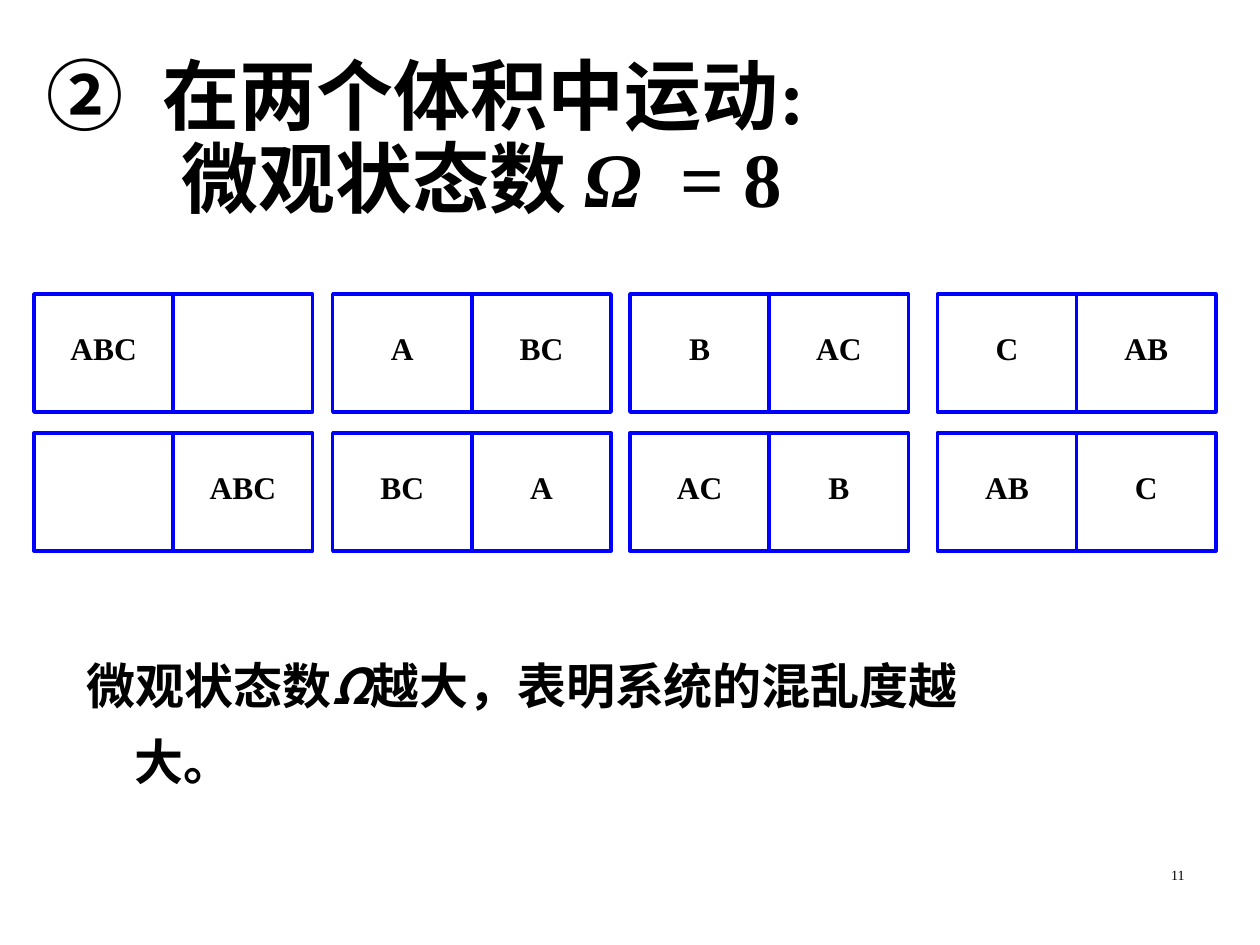
import dataclasses

import lxml.etree
import pptx
import pptx.dml.color
import pptx.enum.shapes
import pptx.enum.text
import pptx.oxml.ns
import pptx.util

ALIGN = pptx.enum.text.PP_ALIGN
ANCHOR = pptx.enum.text.MSO_ANCHOR


@dataclasses.dataclass(frozen=True)
class Theme:
    ink: str = "000000"
    edge: str = "0000FF"
    serif: str = "Times New Roman"
    sans: str = "Noto Sans CJK SC"
    head: float = 44
    body: float = 28
    label: float = 18
    page: float = 8
    rule: float = 2


THEME = Theme()
WIDE, HIGH = pptx.util.Inches(10), pptx.util.Inches(7.5)

# Percent of the slide's width or height
LEFTS = (2.7, 26.4, 50, 74.4)
TOP, STEP = 31.1, 14.7
CELL_W, CELL_H = 11.05, 12.5
STATES = (("ABC", ""), ("A", "BC"), ("B", "AC"), ("C", "AB"))


def place(left, top, width, height):
    """Turn percent of the slide into lengths."""
    return (int(WIDE * left / 100), int(HIGH * top / 100),
            int(WIDE * width / 100), int(HIGH * height / 100))


def rgb(code):
    return pptx.dml.color.RGBColor.from_string(code)


def write(frame, runs, size, bold=True, align=ALIGN.LEFT, anchor=ANCHOR.TOP,
          wrap=True, space=None, hang=0):
    """Fill a frame with (text, font, italic) runs; a newline breaks the line."""
    frame.word_wrap = wrap
    frame.vertical_anchor = anchor
    para = frame.paragraphs[0]
    para.alignment = align
    para.line_spacing = space
    if hang:
        props = para._p.get_or_add_pPr()
        props.set("marL", str(pptx.util.Inches(hang)))
        props.set("indent", str(-pptx.util.Inches(hang)))
    for text, face, slant in runs:
        for row, part in enumerate(text.split("\n")):
            if row:
                para.add_line_break()
            run = para.add_run()
            run.text = part
            font = run.font
            font.name, font.size = face, pptx.util.Pt(size)
            font.bold, font.italic = bold, slant
            font.color.rgb = rgb(THEME.ink)
            east = lxml.etree.SubElement(font._element, pptx.oxml.ns.qn("a:ea"))
            east.set("typeface", THEME.sans)
    return para


def number(para, start):
    """Give a paragraph a circled number."""
    mark = lxml.etree.SubElement(para._p.get_or_add_pPr(),
                                 pptx.oxml.ns.qn("a:buAutoNum"))
    mark.set("type", "circleNumDbPlain")
    mark.set("startAt", str(start))


def add_title(slide):
    title = slide.shapes.title
    title.left, title.top, title.width, title.height = place(2.7, 2.8, 85, 24.27)
    runs = (("在两个体积中运动: \n ", THEME.serif, False),
            ("微观状态数 ", THEME.sans, False),
            ("Ω  ", THEME.serif, True),
            ("= 8", THEME.serif, False))
    para = write(title.text_frame, runs, THEME.head, anchor=ANCHOR.MIDDLE,
                 space=0.9, hang=0.92)
    number(para, 2)


def add_cell(group, label, left, top):
    cell = group.shapes.add_shape(pptx.enum.shapes.MSO_SHAPE.RECTANGLE,
                                  *place(left, top, CELL_W, CELL_H))
    cell.shadow.inherit = False
    cell.fill.background()
    cell.line.color.rgb = rgb(THEME.edge)
    cell.line.width = pptx.util.Pt(THEME.rule)
    if label:
        write(cell.text_frame, [(label, THEME.serif, False)], THEME.label,
              align=ALIGN.CENTER, anchor=ANCHOR.MIDDLE, wrap=False)
        cell.text_frame.margin_bottom = pptx.util.Inches(0.13)


def add_pair(slide, left, state):
    """Group a state with its mirror image below it."""
    group = slide.shapes.add_group_shape()
    for row, labels in enumerate((state, state[::-1])):
        for col, label in enumerate(labels):
            add_cell(group, label, left + col * CELL_W, TOP + row * STEP)


def add_text(slide, spot, runs, size, **style):
    box = slide.shapes.add_textbox(*place(*spot))
    write(box.text_frame, runs, size, **style)


def main():
    deck = pptx.Presentation()
    deck.slide_width, deck.slide_height = WIDE, HIGH
    slide = deck.slides.add_slide(deck.slide_layouts.get_by_name("Title Only"))
    add_title(slide)
    for left, state in zip(LEFTS, STATES):
        add_pair(slide, left, state)
    claim = (("微观状态数", THEME.sans, False), ("Ω", THEME.sans, True),
             ("越大，表明系统的混乱度越大。", THEME.sans, False))
    add_text(slide, (5.9, 66.8, 74.8, 22), claim, THEME.body,
             space=1.3, hang=0.38)
    add_text(slide, (71.7, 91.07, 23.3, 6.93), [("11", THEME.serif, False)],
             THEME.page, bold=False, align=ALIGN.RIGHT)
    deck.save("out.pptx")


if __name__ == "__main__":
    main()
